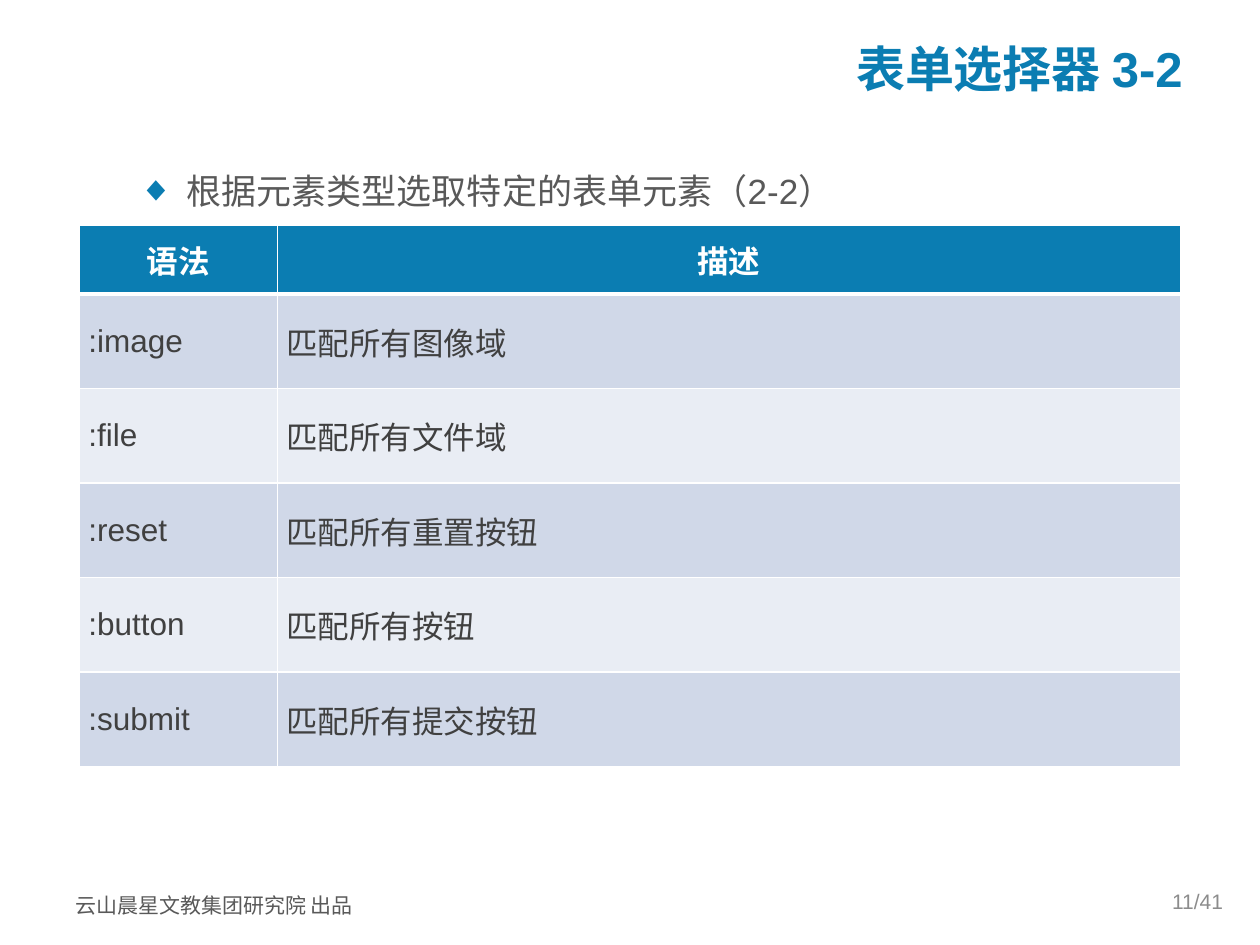
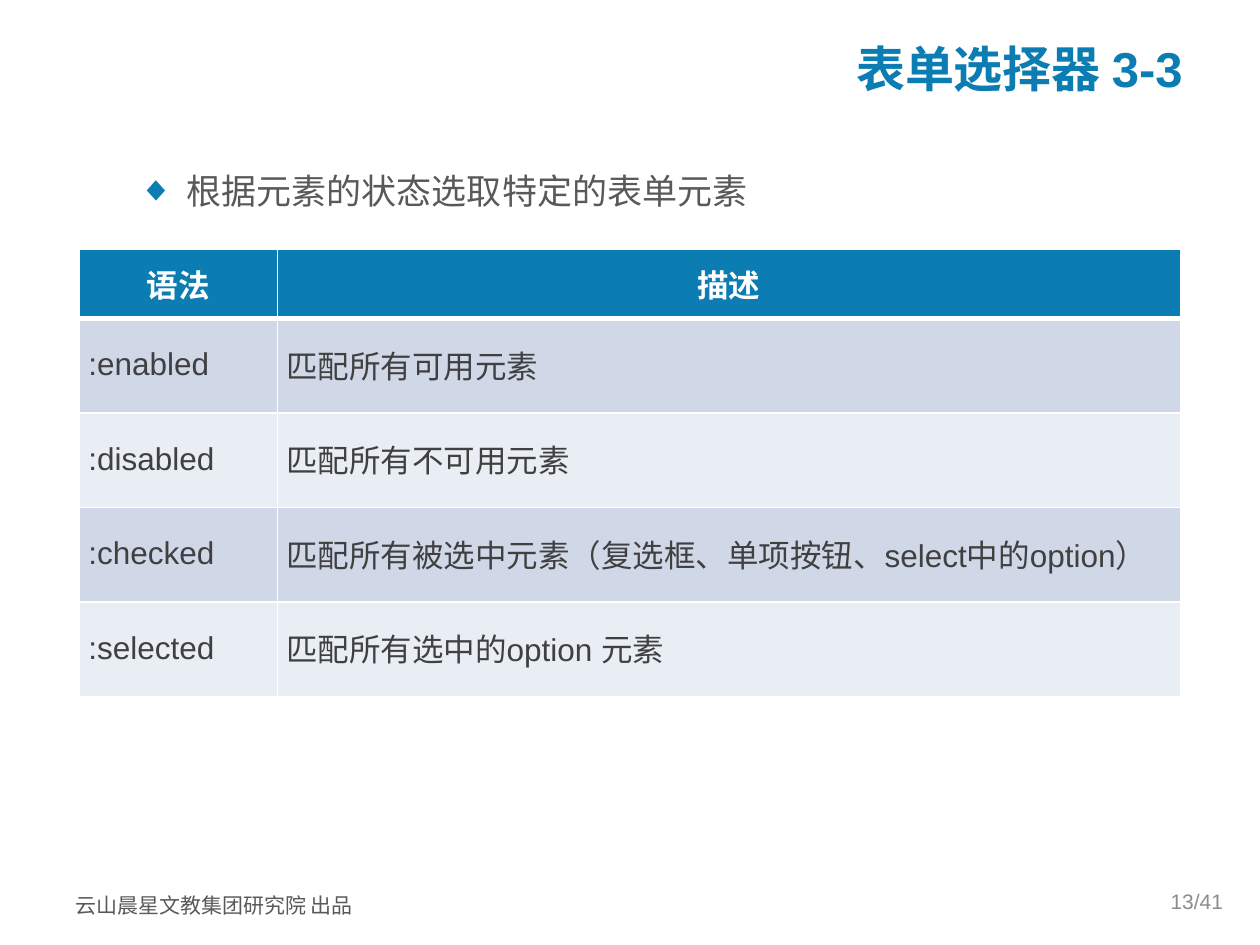
from lxml import etree
from pptx import Presentation
from pptx.dml.color import RGBColor
from pptx.enum.text import MSO_ANCHOR, MSO_AUTO_SIZE, PP_ALIGN
from pptx.oxml.ns import qn
from pptx.util import Pt

LEFT, CENTER, RIGHT = PP_ALIGN.LEFT, PP_ALIGN.CENTER, PP_ALIGN.RIGHT
TOP, MIDDLE = MSO_ANCHOR.TOP, MSO_ANCHOR.MIDDLE
NO_FIT = MSO_AUTO_SIZE.NONE
COLORS = {
    "blue": "0B7DB2",
    "body": "595959",
    "cell": "404040",
    "number": "8C8C8C",
    "white": "FFFFFF",
    "dark_band": "D0D8E8",
    "light_band": "E9EDF4",
}
LATIN, CJK = "Arial", "Noto Sans CJK SC"
FOOTER = "云山晨星文教集团研究院 出品"
PAGE_TOTAL = 41
HEADERS = ("语法", "描述")
COL_WIDTHS = (113, 516)
HEADER_HEIGHT, ROW_HEIGHT = 39.6, 54

SLIDES = [
    {
        "title": "表单选择器 3-2",
        "bullet": "根据元素类型选取特定的表单元素（2-2）",
        "page": 11,
        "table_top": 128.5,
        "bottom_inset": 0,
        "rows": [
            (":image", "匹配所有图像域"),
            (":file", "匹配所有文件域"),
            (":reset", "匹配所有重置按钮"),
            (":button", "匹配所有按钮"),
            (":submit", "匹配所有提交按钮"),
        ],
    },
    {
        "title": "表单选择器 3-3",
        "bullet": "根据元素的状态选取特定的表单元素",
        "page": 13,
        "table_top": 142.5,
        "bottom_inset": 1.5,
        "rows": [
            (":enabled", "匹配所有可用元素"),
            (":disabled", "匹配所有不可用元素"),
            (":checked", "匹配所有被选中元素（复选框、单项按钮、select中的option）"),
            (":selected", "匹配所有选中的option 元素"),
        ],
    },
]


def rgb(name):
    return RGBColor.from_string(COLORS[name])


def write(tf, text, size=18, color="body", font=LATIN, bold=False,
          align=LEFT, spacing=None, before=0):
    p = tf.paragraphs[0]
    p.alignment = align
    p.space_before = Pt(before)
    if spacing:
        p.line_spacing = spacing
    r = p.add_run()
    r.text = text
    r.font.size = Pt(size)
    r.font.bold = bold
    r.font.color.rgb = rgb(color)
    r.font.name = font
    etree.SubElement(r.font._element, qn("a:ea"), typeface=CJK)
    return p


def set_bullet(p, char, color, indent):
    pPr = p._p.get_or_add_pPr()
    pPr.set("marL", str(Pt(indent)))
    pPr.set("indent", str(-Pt(indent)))
    clr = etree.SubElement(pPr, qn("a:buClr"))
    etree.SubElement(clr, qn("a:srgbClr"), val=COLORS[color])
    etree.SubElement(pPr, qn("a:buFont"), typeface=LATIN)
    etree.SubElement(pPr, qn("a:buChar"), char=char)


def set_borders(cell, widths):
    tcPr = cell._tc.get_or_add_tcPr()
    for i, (side, width) in enumerate(widths.items()):
        ln = etree.Element(qn(f"a:ln{side}"), w=str(Pt(width)))
        fill = etree.SubElement(ln, qn("a:solidFill"))
        etree.SubElement(fill, qn("a:srgbClr"), val=COLORS["white"])
        tcPr.insert(i, ln)


class Deck:
    def __init__(self):
        self.prs = Presentation()
        self.prs.slide_width, self.prs.slide_height = Pt(720), Pt(540)
        self.s = None

    def new_slide(self, title):
        self.s = self.prs.slides.add_slide(self.prs.slide_layouts[5])
        sp = self.s.shapes.title
        sp.left, sp.top, sp.width, sp.height = Pt(72), Pt(22.5), Pt(611), Pt(32.5)
        tf = sp.text_frame
        tf.auto_size, tf.word_wrap, tf.vertical_anchor = NO_FIT, True, MIDDLE
        write(tf, title, size=28, color="blue", bold=True, align=RIGHT)

    def text(self, text, x, y, w, h, anchor=TOP, **style):
        tf = self.s.shapes.add_textbox(Pt(x), Pt(y), Pt(w), Pt(h)).text_frame
        tf.auto_size, tf.word_wrap, tf.vertical_anchor = NO_FIT, True, anchor
        return write(tf, text, **style)

    def bullet(self, text):
        p = self.text(text, 72, 88.5, 611, 340, size=20, spacing=1.2, before=4)
        set_bullet(p, "◆", "blue", 27.5)

    def footer(self, page):
        self.text(FOOTER, 36, 503.5, 182, 24.5, size=12, font=CJK, spacing=1.2)
        self.text(f"{page}/{PAGE_TOTAL}", 538, 500.5, 168, 29, anchor=MIDDLE,
                  size=12, color="number", align=RIGHT)

    def table(self, rows, top, bottom_inset):
        height = HEADER_HEIGHT + ROW_HEIGHT * len(rows)
        table = self.s.shapes.add_table(
            len(rows) + 1, len(COL_WIDTHS), Pt(45.5), Pt(top),
            Pt(sum(COL_WIDTHS)), Pt(height)).table
        for col, width in zip(table.columns, COL_WIDTHS):
            col.width = Pt(width)
        for i, texts in enumerate([HEADERS, *rows]):
            table.rows[i].height = Pt(ROW_HEIGHT if i else HEADER_HEIGHT)
            for j, text in enumerate(texts):
                self.cell(table.cell(i, j), text, i, bottom_inset)

    def cell(self, cell, text, row, bottom_inset):
        cell.vertical_anchor = MIDDLE
        cell.margin_left = cell.margin_right = Pt(5)
        cell.margin_top = Pt(0)
        cell.margin_bottom = Pt(bottom_inset if row else 0)
        cell.fill.solid()
        if row == 0:
            cell.fill.fore_color.rgb = rgb("blue")
            write(cell.text_frame, text, color="white", bold=True,
                  align=CENTER, before=3.6)
        else:
            cell.fill.fore_color.rgb = rgb("dark_band" if row % 2 else "light_band")
            write(cell.text_frame, text, color="cell")
        set_borders(cell, {"L": 1, "R": 1, "T": 3 if row == 1 else 1,
                           "B": 3 if row == 0 else 1})


def main():
    deck = Deck()
    for page in SLIDES:
        deck.new_slide(page["title"])
        deck.bullet(page["bullet"])
        deck.table(page["rows"], page["table_top"], page["bottom_inset"])
        deck.footer(page["page"])
    deck.prs.save("out.pptx")


if __name__ == "__main__":
    main()
